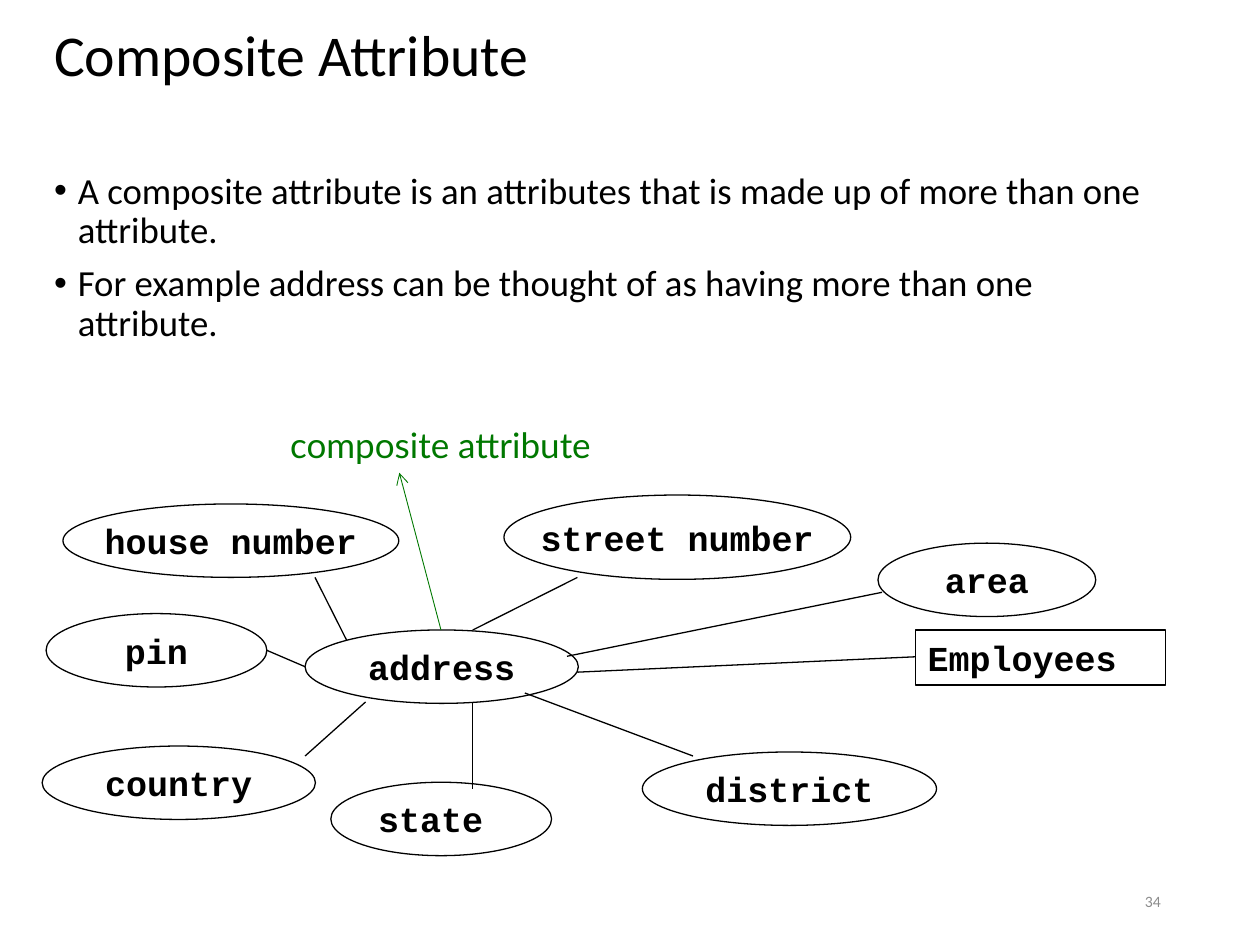
import pptx
import pptx.util
import pptx.dml.color
import pptx.enum.shapes
import pptx.enum.text
import pptx.oxml.ns
import lxml.etree

Cm, Pt = pptx.util.Cm, pptx.util.Pt
RGB = pptx.dml.color.RGBColor.from_string
SHAPE = pptx.enum.shapes.MSO_SHAPE
ALIGN = pptx.enum.text.PP_ALIGN
ANCHOR = pptx.enum.text.MSO_ANCHOR
qn = pptx.oxml.ns.qn

THEME = {
    "ink": "000000", "accent": "007800", "muted": "8C8C8C",
    "body_font": "Calibri", "label_font": "Courier New", "note_font": "Lato",
    "title": 33, "body": 21, "label": 20, "number": 9,
    "line": 0.75, "arrow": 0.5,
}

prs = pptx.Presentation()
prs.slide_width, prs.slide_height = Cm(25.4), Cm(19.05)
s = prs.slides.add_slide(prs.slide_layouts[6])


def write(sp, text, size, font=THEME["body_font"], color=THEME["ink"], bold=False,
          align=ALIGN.LEFT, anchor=ANCHOR.TOP, wrap=True, spacing=None, bullet=False):
    """Put text into a shape, one paragraph for each line, and format it."""
    tf = sp.text_frame
    tf.word_wrap, tf.vertical_anchor = wrap, anchor
    for i, line in enumerate(text.split("\n")):
        p = tf.add_paragraph() if i else tf.paragraphs[0]
        p.alignment, p.line_spacing = align, spacing
        r = p.add_run()
        r.text = line
        r.font.name, r.font.size, r.font.bold = font, Pt(size), bold
        r.font.color.rgb = RGB(color)
        if bullet:
            p.space_before = Pt(7.5)
            pPr = p._p.get_or_add_pPr()
            pPr.set("marL", str(Cm(0.48)))
            pPr.set("indent", str(-Cm(0.48)))
            lxml.etree.SubElement(pPr, qn("a:buFont")).set("typeface", "Arial")
            lxml.etree.SubElement(pPr, qn("a:buChar")).set("char", "•")


def outline(sp, color=THEME["ink"], width=THEME["line"]):
    """Give a shape or connector a plain line without shadow."""
    sp.line.color.rgb = RGB(color)
    sp.line.width = Pt(width)
    lxml.etree.SubElement(sp._element.spPr, qn("a:effectLst"))


# Title, bullets and slide number
title = s.shapes.add_textbox(Cm(0.84), Cm(0), Cm(21.59), Cm(2.34))
write(title, "Composite Attribute", THEME["title"], anchor=ANCHOR.MIDDLE, spacing=0.9)

body = s.shapes.add_textbox(Cm(0.84), Cm(3.35), Cm(23.06), Cm(6.15))
write(body, "A composite attribute is an attributes that is made up of more than one attribute.\n"
      "For example address can be thought of as having more than one attribute.",
      THEME["body"], spacing=0.9, bullet=True)

number = s.shapes.add_textbox(Cm(17.93), Cm(17.65), Cm(5.72), Cm(1.02))
write(number, "34", THEME["number"], color=THEME["muted"], align=ALIGN.RIGHT,
      anchor=ANCHOR.MIDDLE)

# Attributes: label, left, top, width, height
attributes = [
    ("address", 6.15, 12.7, 5.51, 1.48),
    ("house number", 1.27, 10.16, 6.77, 1.48),
    ("street number", 10.16, 9.98, 6.99, 1.7),
    ("area", 17.7, 10.95, 4.39, 1.48),
    ("district", 12.95, 15.16, 5.93, 1.48),
    ("state ", 6.67, 15.77, 4.45, 1.48),
    ("country", 0.85, 15.04, 5.51, 1.48),
    ("pin", 0.93, 12.37, 4.45, 1.48),
]
for label, *box in attributes:
    sp = s.shapes.add_shape(SHAPE.OVAL, *map(Cm, box))
    sp.fill.background()
    outline(sp)
    write(sp, label, THEME["label"], THEME["label_font"], bold=True,
          align=ALIGN.CENTER, anchor=ANCHOR.MIDDLE, wrap=False)

entity = s.shapes.add_shape(SHAPE.RECTANGLE, Cm(18.45), Cm(12.7), Cm(5.04), Cm(1.11))
entity.fill.background()
outline(entity)
write(entity, "Employees", THEME["label"], THEME["label_font"], bold=True)

# Links from the address ellipse: start x, start y, end x, end y
links = [
    (6.99, 12.91, 6.35, 11.64),
    (9.53, 12.7, 11.64, 11.64),
    (11.43, 13.23, 17.78, 11.94),
    (11.64, 13.55, 18.45, 13.24),
    (10.58, 13.97, 13.97, 15.24),
    (9.53, 14.18, 9.53, 15.9),
    (7.37, 14.15, 6.15, 15.24),
    (6.15, 13.44, 5.38, 13.11),
]
STRAIGHT = pptx.enum.shapes.MSO_CONNECTOR.STRAIGHT
for ends in links:
    outline(s.shapes.add_connector(STRAIGHT, *map(Cm, ends)))

# Callout
note = s.shapes.add_textbox(Cm(5.6), Cm(8.41), Cm(6.6), Cm(1.11))
write(note, "composite attribute", THEME["label"], THEME["note_font"], THEME["accent"],
      wrap=False)
arrow = s.shapes.add_connector(STRAIGHT, Cm(8.89), Cm(12.7), Cm(8.05), Cm(9.53))
outline(arrow, THEME["accent"], THEME["arrow"])
lxml.etree.SubElement(arrow.line._get_or_add_ln(), qn("a:tailEnd")).set("type", "arrow")

prs.save("out.pptx")
